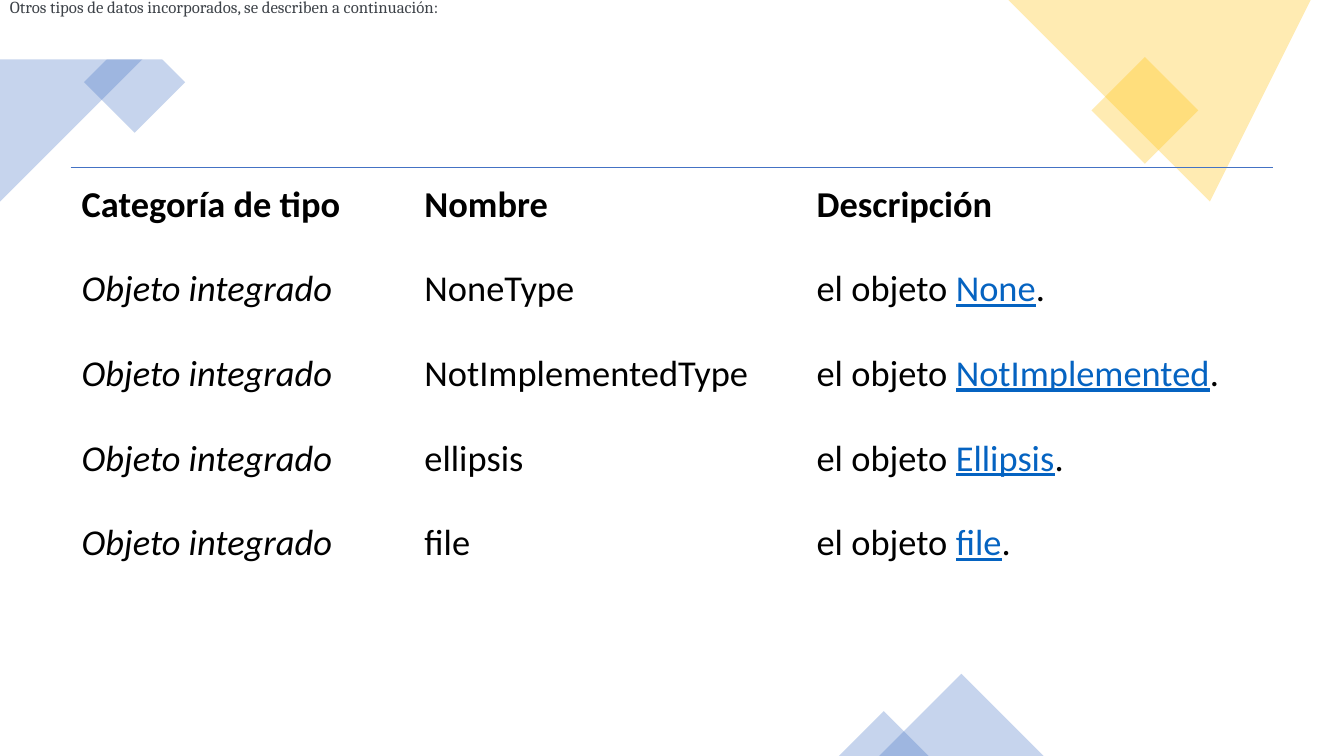
from lxml.etree import SubElement
from pptx import Presentation
from pptx.dml.color import RGBColor
from pptx.enum.shapes import MSO_SHAPE
from pptx.enum.text import MSO_ANCHOR
from pptx.oxml.ns import qn
from pptx.util import Inches, Pt

BLUE = RGBColor(0x44, 0x72, 0xC4)
GOLD = RGBColor(0xFF, 0xC0, 0x00)
LINK = RGBColor(0x05, 0x63, 0xC1)
GREY = RGBColor(0x3E, 0x43, 0x49)
BLACK = RGBColor(0, 0, 0)
WHITE = RGBColor(0xFF, 0xFF, 0xFF)

INTRO = "Otros tipos de datos incorporados, se describen a continuación:"
HEADS = ["Categoría de tipo", "Nombre", "Descripción"]
KIND = "Objeto integrado"
LEAD = "el objeto "
TYPES = [
    ("NoneType", "None"),
    ("NotImplementedType", "NotImplemented"),
    ("ellipsis", "Ellipsis"),
    ("file", "file"),
]

WIDE, HIGH = 13.33, 7.5
COLS = [3.4, 3.89, 4.64]
ROW = 0.84
TABLE_LEFT, TABLE_TOP = 0.7, 1.66
PAD, PAD_LOW = 0.11, 0.21

# Corner outlines, cut off by the slide's edges
CORNERS = [
    (BLUE, [(1.53, 0), (0, 0), (0, 1.3), (0.41, 1.71), (1.83, 0.3)]),
    (GOLD, [(WIDE, 0), (10.23, 0), (11.93, 1.62), (WIDE, 0.28)]),
]
# Tilted squares: colour, left, top, side
SQUARES = [(BLUE, 0.98, 0.46, 0.71), (GOLD, 10.98, 0.72, 0.75)]
# Triangles on the bottom edge: left, width (height is half the width)
PEAKS = [(8.72, 1.63), (8.32, 0.89)]

deck = Presentation()
deck.slide_width, deck.slide_height = Inches(WIDE), Inches(HIGH)
slide = deck.slides.add_slide(deck.slide_layouts[6])
shapes = slide.shapes


def tint(shape, color, share=30):
    """Fill without outline or shadow; share is the opacity in percent."""
    shape.shadow.inherit = False
    shape.fill.solid()
    shape.fill.fore_color.rgb = color
    shape.line.fill.background()
    if share < 100:
        tone = shape.fill._xPr.find(qn("a:solidFill"))[0]
        SubElement(tone, qn("a:alpha")).set("val", str(share * 1000))


def place(kind, left, top, wide, high):
    return shapes.add_shape(kind, *map(Inches, (left, top, wide, high)))


def write(para, text, size, font, color, bold=False, slant=False, under=False):
    run = para.add_run()
    run.text = text
    face = run.font
    face.size, face.name, face.color.rgb = Pt(size), font, color
    face.bold, face.italic, face.underline = bold, slant, under


def rule(cell, color):
    """Draw the top border of a cell."""
    props = cell._tc.get_or_add_tcPr()
    edge = props.makeelement(qn("a:lnT"), {"w": str(Pt(1))})
    fill = SubElement(edge, qn("a:solidFill"))
    SubElement(fill, qn("a:srgbClr")).set("val", str(color))
    props.insert(0, edge)


def corners():
    for color, points in CORNERS:
        pen = shapes.build_freeform(*points[0], scale=Inches(1))
        pen.add_line_segments(points[1:], close=True)
        tint(pen.convert_to_shape(), color)


def squares():
    for color, left, top, side in SQUARES:
        box = place(MSO_SHAPE.RECTANGLE, left, top, side, side)
        box.rotation = 315
        tint(box, color)


def peaks():
    for left, wide in PEAKS:
        high = wide / 2
        tint(place(MSO_SHAPE.ISOSCELES_TRIANGLE, left, HIGH - high, wide, high), BLUE)


def grid():
    # Each cell is a list of runs: text, colour, bold, italic, underline
    rows = [[[(head, BLACK, True)] for head in HEADS]]
    for name, value in TYPES:
        rows.append([
            [(KIND, BLACK, False, True)],
            [(name, BLACK)],
            [(LEAD, BLACK), (value, LINK, False, False, True), (".", BLACK)],
        ])
    area = (TABLE_LEFT, TABLE_TOP, sum(COLS), ROW * len(rows))
    table = shapes.add_table(len(rows), len(COLS), *map(Inches, area)).table
    table.first_row = table.horz_banding = False
    style = table._tbl.tblPr.find(qn("a:tableStyleId"))
    style.text = "{2D5ABB26-0587-4C30-8999-92F81FD0307C}"
    for col, wide in zip(table.columns, COLS):
        col.width = Inches(wide)
    for r, row in enumerate(rows):
        table.rows[r].height = Inches(ROW)
        for c, runs in enumerate(row):
            cell = table.cell(r, c)
            cell.fill.background()
            cell.vertical_anchor = MSO_ANCHOR.MIDDLE
            cell.margin_left = cell.margin_right = cell.margin_top = Inches(PAD)
            cell.margin_bottom = Inches(PAD_LOW)
            if r == 0:
                rule(cell, BLUE)
            for text, color, *looks in runs:
                write(cell.text_frame.paragraphs[0], text, 26, "Calibri", color, *looks)


def intro():
    box = place(MSO_SHAPE.RECTANGLE, 0, -0.1, 4.89, 0.69)
    tint(box, WHITE, 100)
    frame = box.text_frame
    frame.word_wrap = False
    frame.vertical_anchor = MSO_ANCHOR.TOP
    frame.margin_top = Inches(0.07)
    para = frame.paragraphs[0]
    para.alignment = 1
    write(para, INTRO, 12, "Cambria", GREY)


corners()
squares()
peaks()
grid()
intro()
deck.save("out.pptx")
